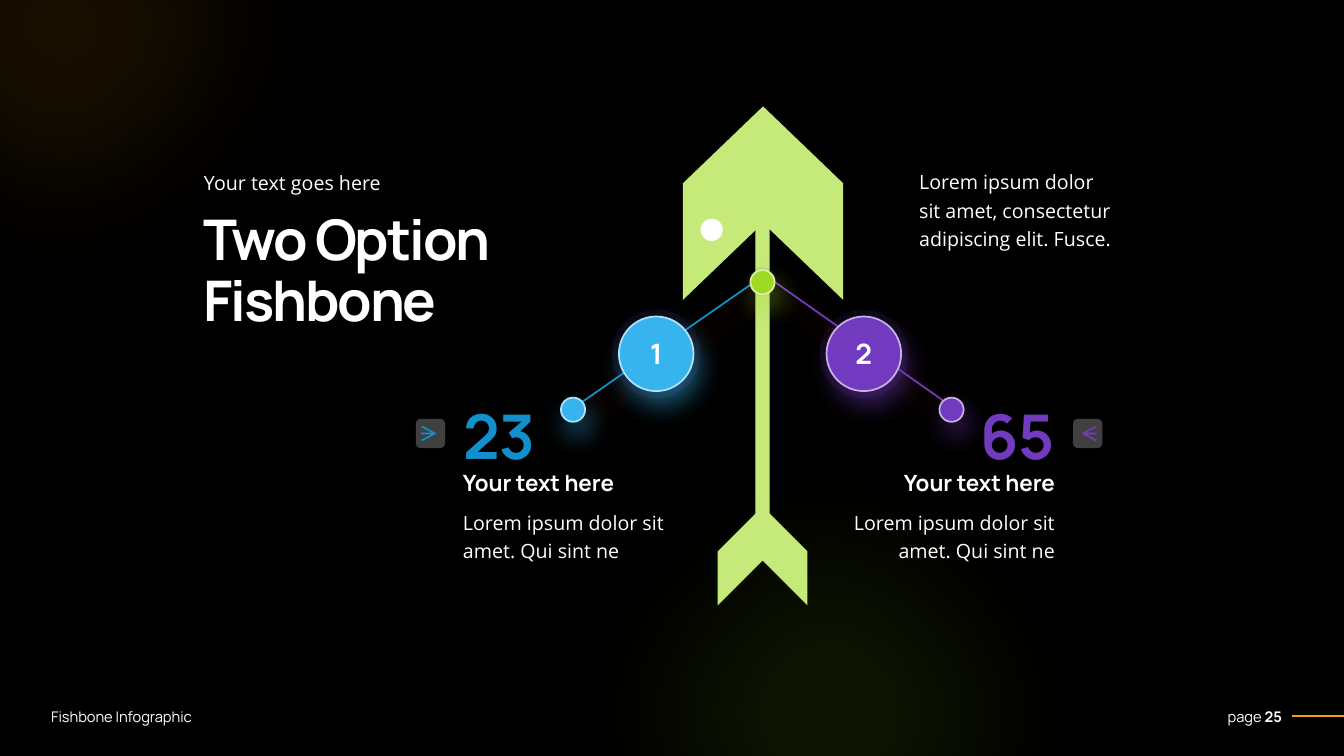
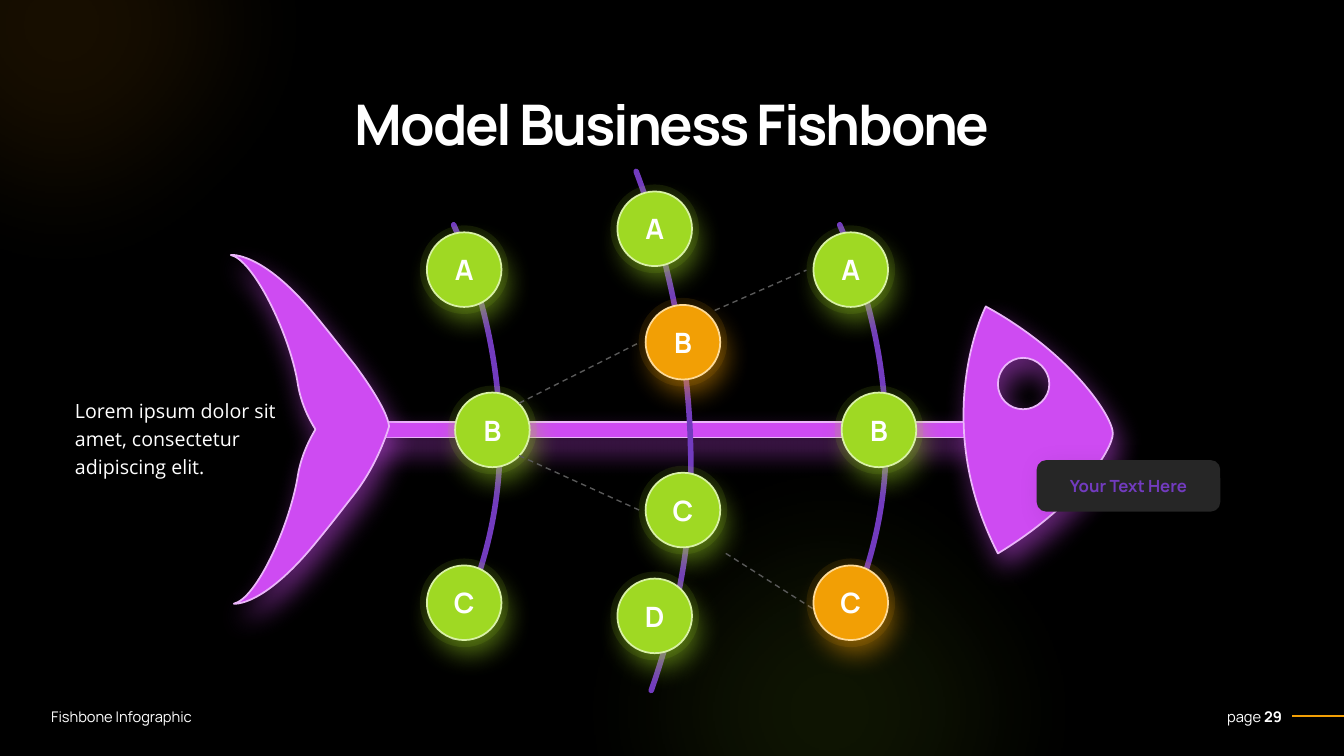
"""Build two dark fishbone infographic slides."""
import math

from lxml import etree
from pptx import Presentation
from pptx import util as u
from pptx.dml.color import RGBColor
from pptx.enum import dml, shapes, text
from pptx.oxml.ns import qn

WIDTH, HEIGHT = 133.33, 75
CELLS_PER_INCH = 10
HEADING, BODY = "Manrope", "Open Sans"
WHITE, BLACK = "FFFFFF", "000000"
GREEN, ORANGE, BLUE, PURPLE = "9FD923", "F29F05", "37B4EE", "723BBF"
PINK, LIME, DEEP_BLUE, GRAY = "CE4BF2", "C6EA7A", "1190CB", "595959"
RIMS = {GREEN: "D9F1A6", ORANGE: "FDDA98", BLUE: "AFE1F8",
        PURPLE: "C6B0E6", PINK: "EBB7FA"}
LEFT, CENTER, RIGHT = (text.PP_ALIGN.LEFT, text.PP_ALIGN.CENTER,
                       text.PP_ALIGN.RIGHT)
SHAPE = shapes.MSO_SHAPE

RIB_TURN = 82.3
OUTER_FRAME, MIDDLE_FRAME = (25.8, 38.8, 40.5, 7.6), (39.3, 38.8, 51.2, 7.6)
OUTER_RIB = ((45, 63.2), [(48.1, 56.6, 49.6, 50.5, 49.6, 43.7),
                          (49.6, 36.9, 48.1, 29.3, 45, 22.3)])
MIDDLE_RIB = ((64.6, 68.5), [(67.5, 60.2, 68.8, 52.7, 68.5, 44.1),
                             (68.3, 35.6, 66.5, 25.9, 63.1, 17)])
HEAD_FRAME, TAIL_FRAME = (95.6, 30.4, 14.9, 24.5), (22.9, 25.3, 15.7, 34.6)
HEAD = ((97.8, 30.4), [(97.8, 30.4, 92.1, 41.5, 99, 54.9),
                       (106.8, 50.2, 110.4, 44.6, 110.4, 43),
                       (110.4, 41.3, 106.2, 35, 97.8, 30.4)])
EYE = ((101.5, 40.6), [(100.1, 40.6, 99, 39.5, 99, 38.1),
                       (99, 36.7, 100.1, 35.5, 101.5, 35.5),
                       (102.9, 35.5, 104.1, 36.7, 104.1, 38.1),
                       (104.1, 39.5, 102.9, 40.6, 101.5, 40.6)])
TAIL = ((38.6, 42.3), [(38.6, 42.3, 37.6, 45.9, 35.1, 49.1),
                       (34.3, 50.1, 33.1, 51.7, 31.2, 54),
                       (26, 60.3, 23.2, 59.9, 23.2, 59.9),
                       (25.4, 59.4, 28.6, 52.5, 29.5, 47.5),
                       (29.8, 45.4, 30.6, 43.8, 31.3, 42.6),
                       (30.6, 41.5, 29.8, 39.9, 29.5, 37.8),
                       (28.6, 32.8, 25.1, 25.8, 22.9, 25.3),
                       (22.9, 25.3, 26, 24.9, 31.2, 31.2),
                       (33.1, 33.5, 34.3, 35.1, 35.2, 36.2),
                       (35.7, 36.9, 38.4, 40.5, 38.6, 42.3)])


def cells(*counts):
    """Turn grid columns or rows into slide lengths."""
    return [u.Inches(count / CELLS_PER_INCH) for count in counts]


def color(value):
    """Turn a hex string into a colour."""
    return RGBColor.from_string(value)


def add_effect(shape, tag, **settings):
    """Add one effect to the shape and return its element."""
    properties = shape.element.spPr
    effects = properties.find(qn("a:effectLst"))
    if effects is None:
        effects = etree.SubElement(properties, qn("a:effectLst"))
    return etree.SubElement(effects, qn(tag),
                            {key: str(value) for key, value in settings.items()})


def set_alpha(element, percent):
    """Give a colour element an opacity."""
    etree.SubElement(element, qn("a:alpha"), val=str(percent * 1000))


def cast_shadow(shape, hue, percent=50, distance=10, angle=68):
    """Let the shape cast a blurred coloured shadow."""
    effect = add_effect(shape, "a:outerShdw", blurRad=int(u.Pt(19)),
                        dist=int(u.Pt(distance)), dir=angle * 60000,
                        algn="t", rotWithShape=0)
    set_alpha(etree.SubElement(effect, qn("a:srgbClr"), val=hue), percent)


def style(shape, fill=None, line=None, weight=1.25, alpha=None):
    """Set fill, outline and opacity, without a shadow."""
    shape.shadow.inherit = False
    if fill:
        shape.fill.solid()
        shape.fill.fore_color.rgb = color(fill)
    else:
        shape.fill.background()
    if line:
        shape.line.color.rgb = color(line)
        shape.line.width = u.Pt(weight)
    else:
        shape.line.fill.background()
    if alpha:
        set_alpha(shape.element.spPr.find(".//" + qn("a:srgbClr")), alpha)
    return shape


def add_block(page, kind, box, fill, turn=0, **look):
    """Add a styled preset shape."""
    shape = page.shapes.add_shape(kind, *cells(*box))
    shape.rotation = turn
    return style(shape, fill, **look)


def add_circle(page, x, y, size, fill, **look):
    """Add a circle around a centre."""
    box = (x - size / 2, y - size / 2, size, size)
    return add_block(page, SHAPE.OVAL, box, fill, **look)


def format_text(frame, size, hue, font=HEADING, bold=False, align=LEFT,
                leading=None, tracking=None):
    """Format every run of a text frame."""
    frame.word_wrap = True
    for para in frame.paragraphs:
        para.alignment = align
        if leading:
            para.line_spacing = leading
        for span in para.runs:
            span.font.size = u.Pt(size)
            span.font.name = font
            span.font.bold = bold
            span.font.color.rgb = color(hue)
            if tracking:
                span.font._element.set("spc", str(int(tracking * 100)))


def add_text(page, box, words, size, hue=WHITE, **look):
    """Add a text box and return its frame."""
    frame = page.shapes.add_textbox(*cells(*box)).text_frame
    frame.text = words
    frame.auto_size = text.MSO_AUTO_SIZE.SHAPE_TO_FIT_TEXT
    format_text(frame, size, hue, **look)
    return frame


def add_body(page, box, words, align=LEFT):
    """Add body copy."""
    add_text(page, box, words, 14, font=BODY, leading=1.2, align=align)


def add_title(page, box, words, align=LEFT):
    """Add a slide title."""
    add_text(page, box, words, 40, bold=True, leading=0.9, tracking=-1.5,
             align=align)


def add_label(shape, words, size, hue=WHITE):
    """Centre a bold label in a shape."""
    frame = shape.text_frame
    frame.text = words
    frame.vertical_anchor = text.MSO_ANCHOR.MIDDLE
    frame.margin_left = frame.margin_right = 0
    format_text(frame, size, hue, bold=True, align=CENTER)


def add_line(page, start, end, hue, weight=1.25, dashed=False, arrow=False):
    """Add a straight line or an arrow."""
    line = page.shapes.add_connector(shapes.MSO_CONNECTOR.STRAIGHT,
                                     *cells(*start, *end))
    etree.SubElement(line.element.spPr, qn("a:effectLst"))
    line.line.color.rgb = color(hue)
    line.line.width = u.Pt(weight)
    if dashed:
        line.line.dash_style = dml.MSO_LINE.DASH
    if arrow:
        etree.SubElement(line.element.spPr.find(qn("a:ln")), qn("a:tailEnd"),
                         type="arrow", w="lg", len="lg")
    return line


def to_frame(point, frame, turn):
    """Place a slide point inside a frame that is turned about its centre."""
    left, top, width, height = frame
    angle = math.radians(-turn)
    x, y = point[0] - left - width / 2, point[1] - top - height / 2
    return cells(x * math.cos(angle) - y * math.sin(angle) + width / 2,
                 x * math.sin(angle) + y * math.cos(angle) + height / 2)


def add_curves(page, frame, contours, turn=0, closed=True):
    """Add a freeform of cubic curves that fills a frame."""
    left, top, width, height = frame
    builder = page.shapes.build_freeform(*cells(left, top))
    builder.add_line_segments([cells(left + width, top + height)], close=False)
    shape = builder.convert_to_shape()
    outline = shape.element.spPr.find(".//" + qn("a:path"))
    for step in list(outline):
        outline.remove(step)

    def add_step(tag, numbers):
        step = etree.SubElement(outline, qn(tag))
        for pair in zip(numbers[::2], numbers[1::2]):
            x, y = to_frame(pair, frame, turn)
            etree.SubElement(step, qn("a:pt"), x=str(x), y=str(y))

    for start, curves in contours:
        add_step("a:moveTo", start)
        for curve in curves:
            add_step("a:cubicBezTo", curve)
        if closed:
            add_step("a:close", ())
    shape.rotation = turn
    return shape


def add_rib(page, frame, rib, shift=0):
    """Add a curved rib with round ends."""
    shape = add_curves(page, frame, [rib], turn=RIB_TURN, closed=False)
    shape.left += cells(shift)[0]
    style(shape, line=PURPLE, weight=4)
    shape.element.spPr.find(qn("a:ln")).set("cap", "rnd")


def add_dot(page, x, y, hue, size=2.4):
    """Add a rimmed, glowing circle."""
    dot = add_circle(page, x, y, size, hue, line=RIMS[hue])
    cast_shadow(dot, hue)
    return dot


def add_disc(page, x, y, hue, words, halo=None):
    """Add a lettered disc with a faint halo."""
    add_circle(page, x, y, 8.8, halo or hue, alpha=10)
    add_label(add_dot(page, x, y, hue, 7.4), words, 20)


def add_stat(page, edge, number, hue, align):
    """Add a number with its text and arrow badge beside one edge."""
    side = 1 if align == RIGHT else -1

    def box(top, width, height):
        return (edge - width if side > 0 else edge, top, width, height)

    add_text(page, box(39, 14.2, 8.4), number, 44, hue, bold=True, align=align)
    add_body(page, box(49.7, 22.3, 6.5), "Lorem ipsum dolor sit amet. Qui sint ne",
             align)
    add_text(page, box(46.05, 22.3, 3.7), "Your text here", 16, bold=True, align=align)
    middle = edge + side * 2.25
    badge = add_block(page, SHAPE.ROUNDED_RECTANGLE,
                      (middle - 1.45, 41.55, 2.9, 2.9), "404040")
    cast_shadow(badge, BLACK, 10, 6, 45)
    add_line(page, (middle + side * 0.65, 43), (middle - side * 0.6, 43), hue,
             arrow=True)


def add_page(deck, number):
    """Add a dark slide with footer and corner glows."""
    page = deck.slides.add_slide(deck.slide_layouts[6])
    page.background.fill.solid()
    page.background.fill.fore_color.rgb = color(BLACK)
    for x, y, hue in ((82.35, 70.6, GREEN), (6.15, 2.55, ORANGE)):
        glow = add_circle(page, x, y, 67.9, hue, alpha=10)
        add_effect(glow, "a:softEdge", rad=int(u.Pt(100)))
    name = add_text(page, (4.1, 69.65, 23.1, 2.8), "Fishbone Infographic", 10.5)
    folio = add_text(page, (118.05, 69.65, 10.1, 2.8), "page ", 10.5)
    folio.paragraphs[0].add_run().text = str(number)
    format_text(folio, 10.5, WHITE, align=RIGHT)
    folio.paragraphs[0].runs[-1].font.bold = True
    for frame in (name, folio):
        frame.vertical_anchor = text.MSO_ANCHOR.MIDDLE
    add_line(page, (128.2, 71), (WIDTH, 71), ORANGE)
    return page


def build_two_options(deck):
    """Build the arrow with two options."""
    page = add_page(deck, 25)
    for start, end, hue in (((57, 40.4), (74.8, 28), DEEP_BLUE),
                            ((94.5, 40.4), (76.9, 28), PURPLE)):
        cast_shadow(add_line(page, start, end, hue), "F25B1E")
    add_block(page, SHAPE.RECTANGLE, (59.7, 36.5, 31.9, 1.4), LIME, turn=270)
    add_block(page, SHAPE.CHEVRON, (70.75, 50.7, 9.8, 8.9), LIME, turn=270)
    tip = add_block(page, SHAPE.CHEVRON, (66.1, 12.2, 19.2, 15.9), LIME, turn=270)
    tip.adjustments[0] = 0.48
    add_circle(page, 70.6, 22.8, 2.2, WHITE)
    add_circle(page, 75.65, 27.95, 2.9, PURPLE, alpha=10)
    add_dot(page, 75.65, 28, GREEN)
    add_disc(page, 85.7, 35.1, PURPLE, "2")
    add_disc(page, 65.1, 35.1, BLUE, "1", halo=PURPLE)
    add_dot(page, 56.85, 40.65, BLUE)
    add_dot(page, 94.4, 40.65, PURPLE)
    add_stat(page, 44.95, "23", DEEP_BLUE, LEFT)
    add_stat(page, 105.65, "65", PURPLE, RIGHT)
    add_body(page, (90.2, 15.95, 21.1, 9.3),
             "Lorem ipsum dolor sit amet, consectetur adipiscing elit. Fusce.")
    add_title(page, (19.2, 20.6, 34.2, 13.2), "Two Option Fishbone")
    add_body(page, (19.25, 16, 27.2, 3.7), "Your text goes here")


def build_business_model(deck):
    """Build the fish with lettered ribs."""
    page = add_page(deck, 29)
    spine = add_block(page, SHAPE.RECTANGLE, (34.2, 41.9, 63, 1.5), PINK,
                      line=RIMS[PINK])
    cast_shadow(spine, PINK)
    for frame, contours in ((HEAD_FRAME, [HEAD, EYE]), (TAIL_FRAME, [TAIL])):
        part = style(add_curves(page, frame, contours), PINK, line=RIMS[PINK])
        cast_shadow(part, PINK)
    add_rib(page, OUTER_FRAME, OUTER_RIB)
    add_rib(page, MIDDLE_FRAME, MIDDLE_RIB)
    add_rib(page, OUTER_FRAME, OUTER_RIB, shift=38.3)
    for x, y, letter in ((46.05, 26.75, "A"), (64.95, 22.7, "A"), (84.4, 26.75, "A"),
                         (46.05, 59.8, "C"), (64.95, 61.1, "D"), (48.85, 42.65, "B"),
                         (87.2, 42.65, "B"), (67.75, 50.6, "C")):
        add_disc(page, x, y, GREEN, letter)
    for start, end in (((51.5, 40), (63.4, 34)), ((51.5, 45.2), (63.4, 50.6)),
                       ((70.9, 30.8), (80, 26.8)), ((72, 54.9), (82.4, 61.5))):
        add_line(page, start, end, GRAY, weight=1, dashed=True)
    add_title(page, (13.8, 9.15, 105.8, 7.1), "Model Business Fishbone", CENTER)
    add_body(page, (6.45, 38.6, 22.2, 9.3),
             "Lorem ipsum dolor sit amet, consectetur adipiscing elit.")
    tag = add_block(page, SHAPE.ROUNDED_RECTANGLE, (103, 45.8, 17.9, 4.8), "262626",
                    line="262626", weight=2.25)
    cast_shadow(tag, BLACK, 10, 6, 45)
    add_label(tag, "Your Text Here", 12, PURPLE)
    add_disc(page, 67.75, 33.95, ORANGE, "B")
    add_disc(page, 84.4, 59.8, ORANGE, "C")


def main():
    """Build and save the deck."""
    deck = Presentation()
    deck.slide_width, deck.slide_height = cells(WIDTH, HEIGHT)
    build_two_options(deck)
    build_business_model(deck)
    deck.save("out.pptx")


if __name__ == "__main__":
    main()
